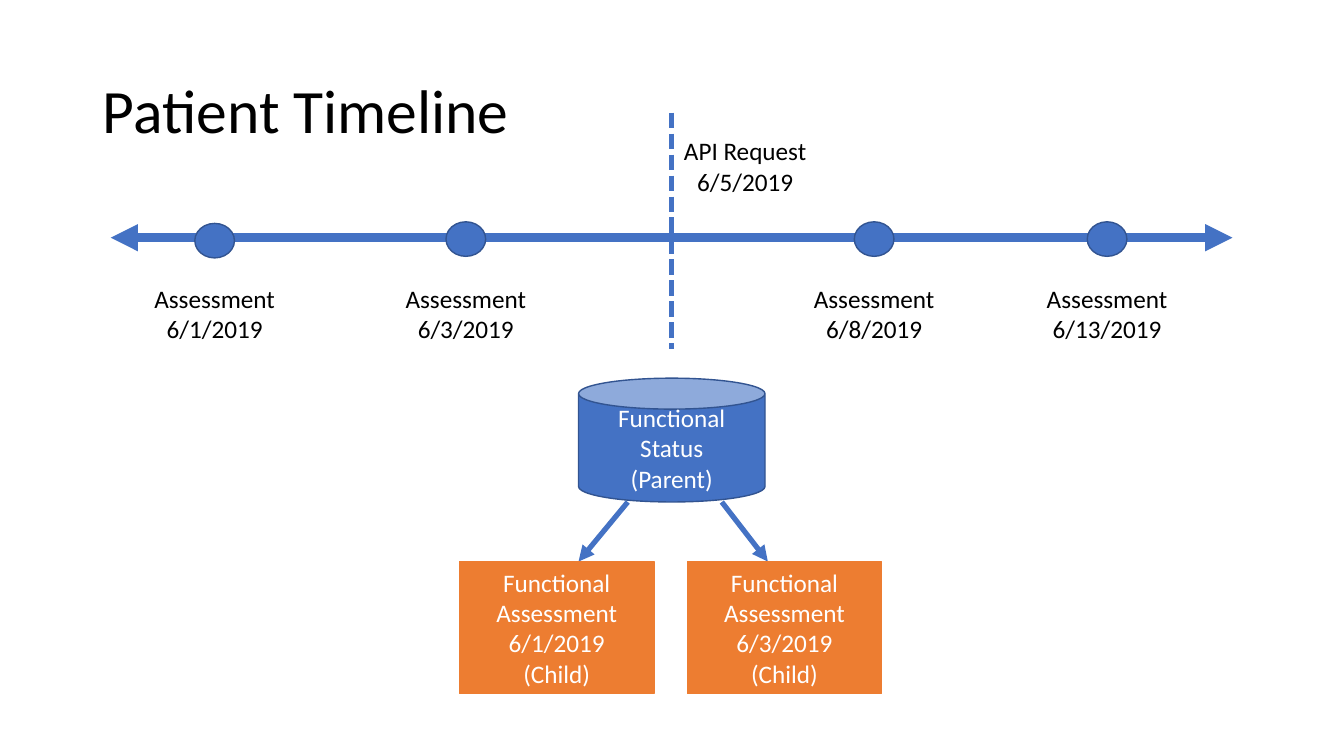
from lxml import etree
from pptx import Presentation
from pptx import util as u
from pptx.dml.color import RGBColor
from pptx.enum import dml, shapes, text
from pptx.oxml.ns import qn

BLUE, NAVY, ORANGE = "4472C4", "325491", "ED7D31"
BLACK, WHITE = "000000", "FFFFFF"


def paint(color_format, value):
    color_format.rgb = RGBColor.from_string(value)


def write(box, lines, size, color, align):
    frame = box.text_frame
    frame.vertical_anchor = text.MSO_ANCHOR.MIDDLE
    for index, line in enumerate(lines):
        para = frame.paragraphs[0] if index == 0 else frame.add_paragraph()
        para.alignment = align
        span = para.add_run()
        span.text = line
        span.font.name = "Calibri"
        span.font.size = u.Pt(size)
        paint(span.font.color, color)


deck = Presentation()
deck.slide_width, deck.slide_height = u.Cm(33.87), u.Cm(19.05)
page = deck.slides.add_slide(deck.slide_layouts[5])

title = page.shapes.title
title.left, title.top = u.Cm(2.34), u.Cm(1.02)
title.width, title.height = u.Cm(29.21), u.Cm(3.68)
write(title, ["Patient Timeline"], 44, BLACK, text.PP_ALIGN.LEFT)
title.text_frame.auto_size = text.MSO_AUTO_SIZE.NONE
title.text_frame.paragraphs[0].line_spacing = 0.9

kinds = shapes.MSO_SHAPE
dates = ["6/1/2019", "6/3/2019", "6/8/2019", "6/13/2019"]
centers = [5.41, 11.74, 22.03, 27.9]
dot_tops = [5.63, 5.59, 5.59, 5.59]

blocks = [
    (kinds.CAN, 14.58, 9.53, 4.7, 3.12, BLUE, NAVY, ["Functional", "Status", "(Parent)"]),
]
for left, date in zip([11.58, 17.32], dates):
    lines = [f"Functional Assessment {date}", "(Child)"]
    blocks.append((kinds.RECTANGLE, left, 14.15, 4.9, 3.33, ORANGE, ORANGE, lines))
dots = [
    (kinds.OVAL, center - 0.5, top, 1, 0.87, BLUE, NAVY, [])
    for center, top in zip(centers, dot_tops)
]

connectors = [
    (2.79, 5.99, 31.06, 5.99, 6.5, ["headEnd", "tailEnd"], None),
    (15.82, 12.65, 14.58, 14.15, 3.75, ["tailEnd"], None),
    (18.19, 12.65, 19.35, 14.15, 3.75, ["tailEnd"], None),
    (16.92, 2.84, 16.92, 8.79, 3.75, [], dml.MSO_LINE.SQUARE_DOT),
]
for x1, y1, x2, y2, weight, arrowheads, dash in connectors:
    connector = page.shapes.add_connector(
        shapes.MSO_CONNECTOR.STRAIGHT, u.Cm(x1), u.Cm(y1), u.Cm(x2), u.Cm(y2)
    )
    connector.line.width = u.Pt(weight)
    paint(connector.line.fill.fore_color if connector.line.fill.type else connector.line.color, BLUE)
    if dash:
        connector.line.dash_style = dash
    outline = connector.line._get_or_add_ln()
    for arrowhead in arrowheads:
        etree.SubElement(outline, qn(f"a:{arrowhead}")).set("type", "triangle")
    etree.SubElement(connector._element.spPr, qn("a:effectLst"))

for kind, left, top, width, height, fill, edge, lines in blocks + dots:
    shape = page.shapes.add_shape(kind, u.Cm(left), u.Cm(top), u.Cm(width), u.Cm(height))
    shape.shadow.inherit = False
    shape.fill.solid()
    paint(shape.fill.fore_color, fill)
    paint(shape.line.color, edge)
    shape.line.width = u.Pt(1)
    write(shape, lines, 18, WHITE, text.PP_ALIGN.CENTER)

labels = [(center, 6.99, "Assessment", date) for center, date in zip(centers, dates)]
labels.append((18.78, 3.28, "API Request", "6/5/2019"))
for center, top, caption, date in labels:
    label = page.shapes.add_textbox(u.Cm(center - 1.8), u.Cm(top), u.Cm(3.6), u.Cm(1.8))
    label.text_frame.word_wrap = False
    label.text_frame.auto_size = text.MSO_AUTO_SIZE.SHAPE_TO_FIT_TEXT
    write(label, [caption, date], 18, BLACK, text.PP_ALIGN.CENTER)

deck.save("out.pptx")
